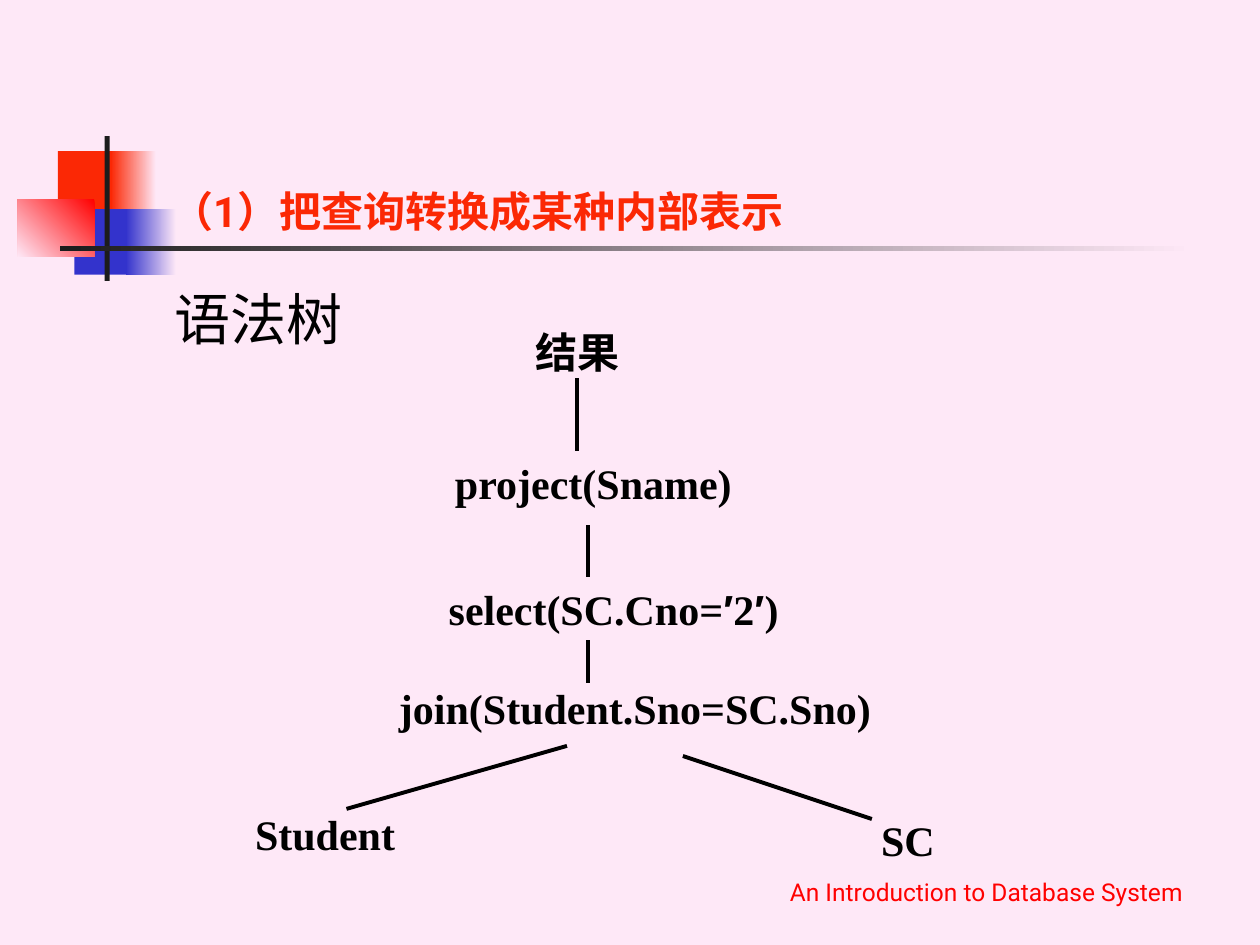
"""Build the slide showing a query syntax tree."""
from lxml.etree import SubElement
from pptx import Presentation
from pptx.dml.color import RGBColor
from pptx.enum.shapes import MSO_CONNECTOR as Connector, MSO_SHAPE as Shape
from pptx.enum.text import MSO_ANCHOR as Anchor, PP_ALIGN as Align
from pptx.oxml.ns import qn
from pptx.util import Inches, Pt

PINK = RGBColor(0xFE, 0xE8, 0xF7)
ORANGE = RGBColor(0xFB, 0x28, 0x05)
RED = RGBColor(0xFF, 0x00, 0x00)
BLUE = RGBColor(0x33, 0x33, 0xCC)
DARK = RGBColor(0x1C, 0x1C, 0x1C)
BLACK = RGBColor(0x00, 0x00, 0x00)
SERIF = "Times New Roman"

deck = Presentation()
deck.slide_width, deck.slide_height = Inches(10), Inches(7.5)
page = deck.slides.add_slide(deck.slide_layouts[6])
page.background.fill.solid()
page.background.fill.fore_color.rgb = PINK


def add_text(place, spans, align, anchor, wrap, style):
    box = page.shapes.add_textbox(*map(Inches, place))
    frame = box.text_frame
    frame.word_wrap = wrap
    frame.vertical_anchor = anchor
    para = frame.paragraphs[0]
    para.alignment = align
    for text, font_name in spans:
        span = para.add_run()
        span.text = text
        span.font.name = font_name
        span.font.color.rgb = style["color"]
        for name in ("size", "bold"):
            setattr(span.font, name, style[name])


ornaments = [
    ((0.46, 1.2, 0.48, 0.52), [ORANGE], 0),
    ((0.88, 1.2, 0.36, 0.52), [PINK, ORANGE], 180),
    ((0.59, 1.66, 0.46, 0.52), [BLUE], 0),
    ((1, 1.66, 0.4, 0.52), [PINK, BLUE], 180),
    ((0.14, 1.58, 0.61, 0.46), [RED, PINK], 225),
    ((0.83, 1.08, 0.04, 1.15), [DARK], 0),
    ((0.48, 1.95, 9, 0.04), [PINK, DARK], 180),
]
for place, colors, angle in ornaments:
    block = page.shapes.add_shape(Shape.RECTANGLE, *map(Inches, place))
    block.shadow.inherit = False
    block.line.fill.background()
    if len(colors) == 1:
        block.fill.solid()
        block.fill.fore_color.rgb = colors[0]
        continue
    block.fill.gradient()
    block.fill.gradient_angle = angle
    for stop, color, position in zip(block.fill.gradient_stops, colors, (0, 1)):
        stop.color.rgb = color
        stop.position = position

title_style = {"size": Pt(24), "bold": True, "color": ORANGE}
body_style = {"size": Pt(32), "bold": False, "color": BLACK}
node_style = {"size": Pt(24), "bold": True, "color": BLACK}
footer_style = {"size": Pt(14), "bold": False, "color": RED}

add_text((1.26, 0.67, 8.52, 1.25), [("（1）把查询转换成某种内部表示", "Roboto")],
         Align.LEFT, Anchor.BOTTOM, True, title_style)
add_text((1.29, 2.21, 8.5, 4.5), [("语法树", "Roboto")],
         Align.JUSTIFY, Anchor.TOP, True, body_style)

nodes = [
    ((3.83, 2.5, 1.5, 0.58), [("结果", SERIF)]),
    ((3.41, 3.58, 2.6, 0.5), [("project(Sname)", SERIF)]),
    ((3.42, 4.5, 2.9, 0.67), [("select(SC.Cno=", SERIF), ("′", "Arial"), ("2", SERIF),
                              ("′", "Arial"), (")", SERIF)]),
    ((3.04, 5.33, 4, 0.58), [("join(Student.Sno=SC.Sno)", SERIF)]),
    ((1.88, 6.33, 1.4, 0.58), [("Student", SERIF)]),
    ((6.58, 6.33, 1.25, 0.67), [("SC", SERIF)]),
]
for place, spans in nodes:
    add_text(place, spans, Align.CENTER, Anchor.MIDDLE, False, node_style)

branches = [
    (4.58, 3, 4.58, 3.58),
    (4.67, 4.17, 4.67, 4.58),
    (4.67, 5.08, 4.67, 5.42),
    (4.5, 5.92, 2.75, 6.42),
    (5.42, 6, 6.92, 6.5),
]
for ends in branches:
    branch = page.shapes.add_connector(Connector.STRAIGHT, *map(Inches, ends))
    branch.line.color.rgb = BLACK
    branch.line.width = Pt(2.25)
    SubElement(branch._element.spPr, qn("a:effectLst"))

add_text((6.08, 6.74, 3.5, 0.5), [("An Introduction to Database System", "Roboto")],
         Align.CENTER, Anchor.BOTTOM, True, footer_style)

deck.save("out.pptx")
